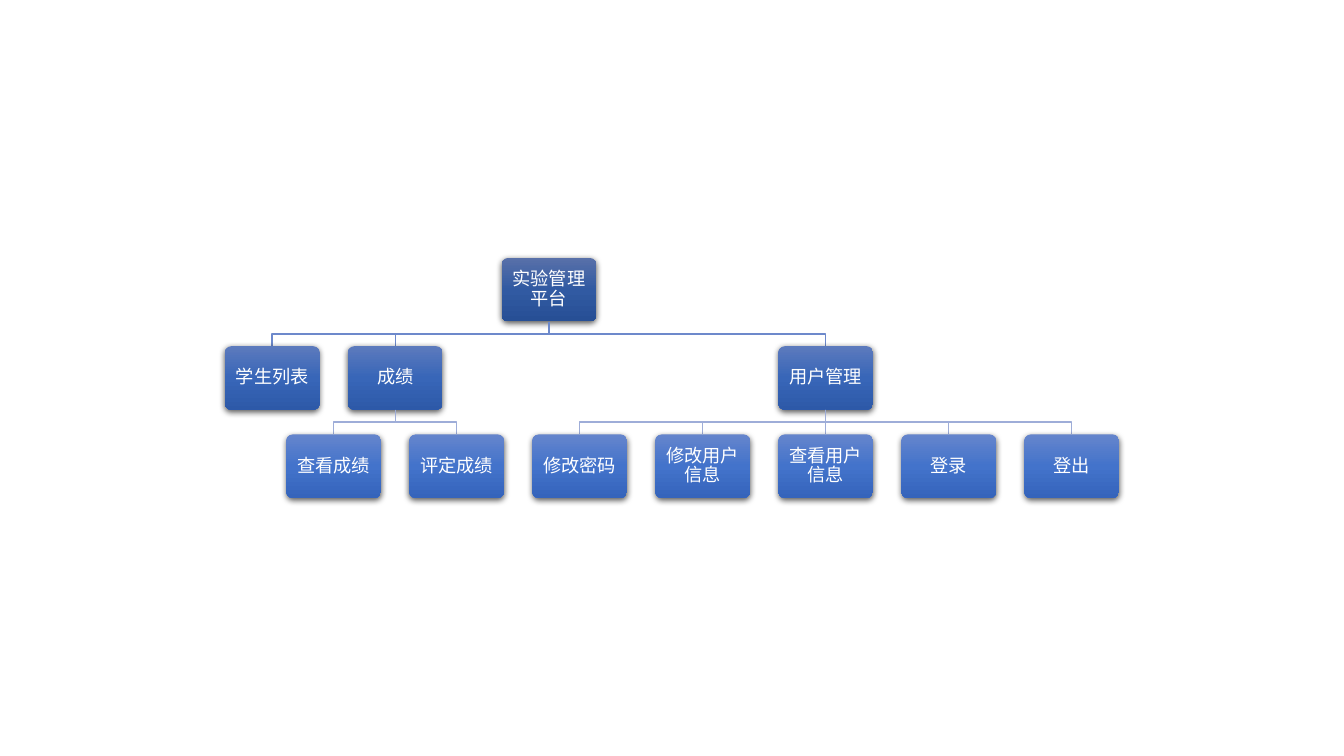
"""Build a slide with the function tree of an experiment management platform."""
import collections
import copy

import pptx
import pptx.dml.color
import pptx.enum.dml
import pptx.enum.shapes
import pptx.enum.text
import pptx.oxml
import pptx.oxml.ns
import pptx.util

Inches, Pt = pptx.util.Inches, pptx.util.Pt
RGB = pptx.dml.color.RGBColor.from_string

TREE = ("实验管理平台", [
    ("学生列表", []),
    ("成绩", [("查看成绩", []), ("评定成绩", [])]),
    ("用户管理", [("修改密码", []), ("修改用户信息", []), ("查看用户信息", []),
              ("登录", []), ("登出", [])]),
])

THEME = {
    "font": "Noto Sans CJK SC",
    "size": 13,
    "text": "FFFFFF",
    "boxes": [("5870A9", "315AA2", "274F95"),
              ("5C7ABD", "3866B8", "2D59A8"),
              ("6585CC", "4373CB", "3564BB")],
    "links": ["6D89CB", "9EADD8"],
}

BOX_W, BOX_H = 0.94, 0.63
FIRST_X, TOP = 2.7, 2.56
PITCH_X, PITCH_Y = 1.22, 0.875
INSET = 0.07

SHADOW = ('<a:effectLst %s><a:outerShdw blurRad="57150" dist="19050" dir="5400000" '
          'algn="ctr" rotWithShape="0"><a:srgbClr val="000000"><a:alpha val="63000"/>'
          '</a:srgbClr></a:outerShdw></a:effectLst>' % pptx.oxml.ns.nsdecls("a"))


def shift(node, dx):
    node["x"] += dx
    for child in node["children"]:
        shift(child, dx)


def next_free(node, depth, free):
    free[depth] = max(free[depth], node["x"] + PITCH_X)
    for child in node["children"]:
        next_free(child, depth + 1, free)


def place(branch, depth, free):
    text, branches = branch
    children = [place(b, depth + 1, free) for b in branches]
    x = (children[0]["x"] + children[-1]["x"]) / 2 if children else free[depth]
    node = {"text": text, "x": x, "children": children}
    shift(node, max(0, free[depth] - x))
    next_free(node, depth, free)
    return node


def add_text(sp, text, *, size, color, font):
    tf = sp.text_frame
    tf.word_wrap = True
    tf.vertical_anchor = pptx.enum.text.MSO_ANCHOR.MIDDLE
    tf.margin_left = tf.margin_right = tf.margin_top = tf.margin_bottom = Inches(INSET)
    p = tf.paragraphs[0]
    p.alignment = pptx.enum.text.PP_ALIGN.CENTER
    p.line_spacing = 0.9
    r = p.add_run()
    r.text = text
    r.font.size, r.font.name = Pt(size), font
    r.font.color.rgb = RGB(color)
    ea = pptx.oxml.parse_xml('<a:ea %s typeface="%s"/>' % (pptx.oxml.ns.nsdecls("a"), font))
    r.font._element.append(ea)


def fill_gradient(sp, colors):
    sp.fill.gradient()
    sp.fill.gradient_angle = 270
    first = sp._element.spPr.find(".//" + pptx.oxml.ns.qn("a:gs"))
    first.addnext(copy.deepcopy(first))
    for stop, pos, color in zip(sp.fill.gradient_stops, (0, 0.5, 1), colors):
        stop.position = pos
        stop.color.rgb = RGB(color)


def add_box(shapes, node, depth):
    sp = shapes.add_shape(pptx.enum.shapes.MSO_SHAPE.ROUNDED_RECTANGLE,
                          Inches(node["x"] - BOX_W / 2), Inches(TOP + depth * PITCH_Y),
                          Inches(BOX_W), Inches(BOX_H))
    sp.adjustments[0] = 0.1
    fill_gradient(sp, THEME["boxes"][depth])
    sp.line.fill.background()
    sp._element.spPr.append(pptx.oxml.parse_xml(SHADOW))
    add_text(sp, node["text"], size=THEME["size"], color=THEME["text"], font=THEME["font"])


def add_link(shapes, x1, x2, depth):
    y1, y2 = TOP + depth * PITCH_Y + BOX_H, TOP + (depth + 1) * PITCH_Y
    mid = (y1 + y2) / 2
    if abs(x1 - x2) < 0.01:
        sp = shapes.add_connector(pptx.enum.shapes.MSO_CONNECTOR.STRAIGHT,
                                  Inches(x1), Inches(y1), Inches(x1), Inches(y2))
        sp._element.spPr.append(pptx.oxml.parse_xml(
            "<a:effectLst %s/>" % pptx.oxml.ns.nsdecls("a")))
    else:
        fb = shapes.build_freeform(Inches(x1), Inches(y1))
        fb.add_line_segments([(Inches(x), Inches(y)) for x, y in
                              ((x1, mid), (x2, mid), (x2, y2))], close=False)
        sp = fb.convert_to_shape()
        sp.fill.background()
        sp.shadow.inherit = False
    sp.line.color.rgb = RGB(THEME["links"][depth])
    sp.line.width = Pt(1)


def draw(shapes, node, depth=0):
    add_box(shapes, node, depth)
    for child in node["children"]:
        add_link(shapes, node["x"], child["x"], depth)
        draw(shapes, child, depth + 1)


prs = pptx.Presentation()
prs.slide_width, prs.slide_height = Inches(13.33), Inches(7.5)
slide = prs.slides.add_slide(prs.slide_layouts[6])
draw(slide.shapes, place(TREE, 0, collections.defaultdict(lambda: FIRST_X)))
prs.save("out.pptx")
